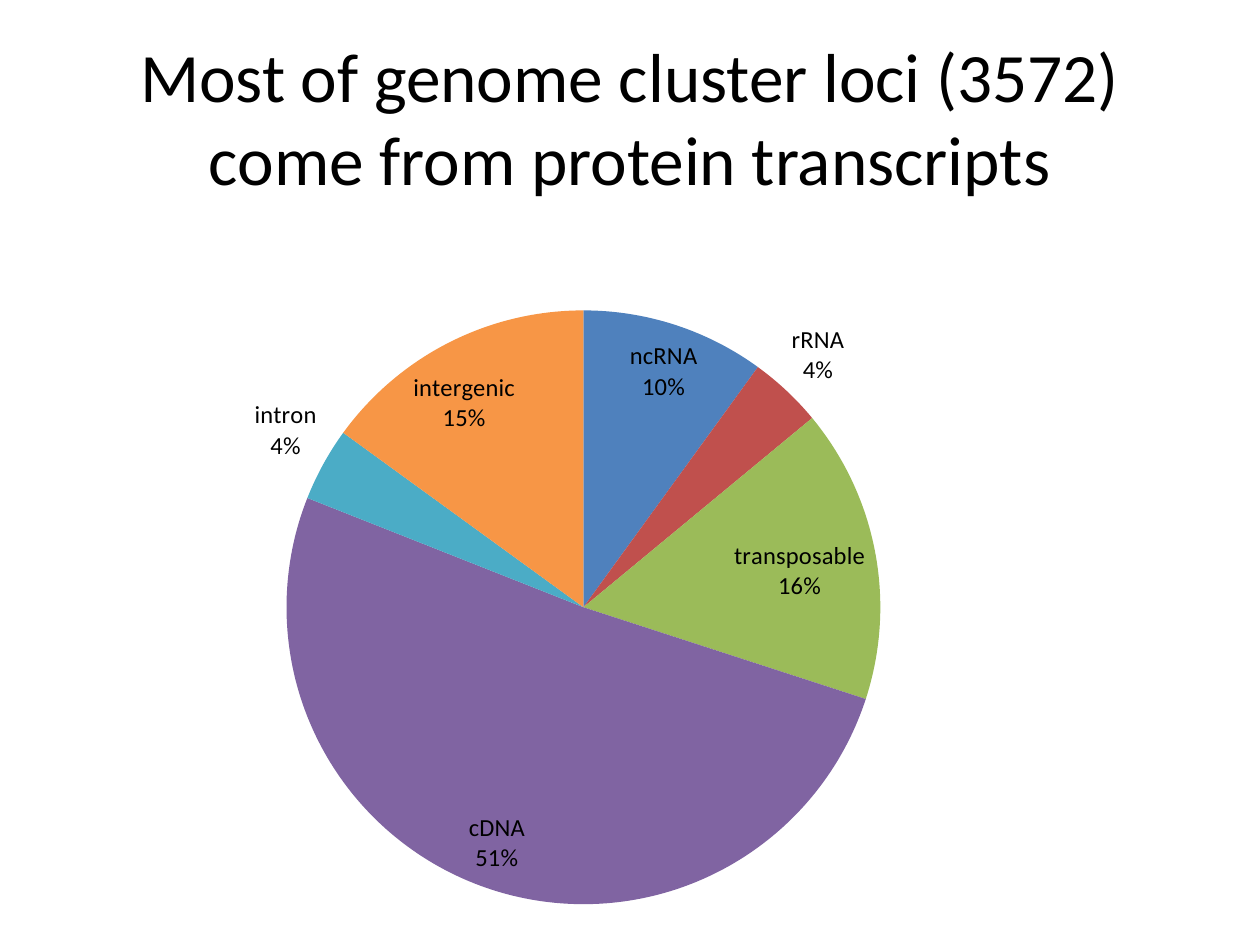
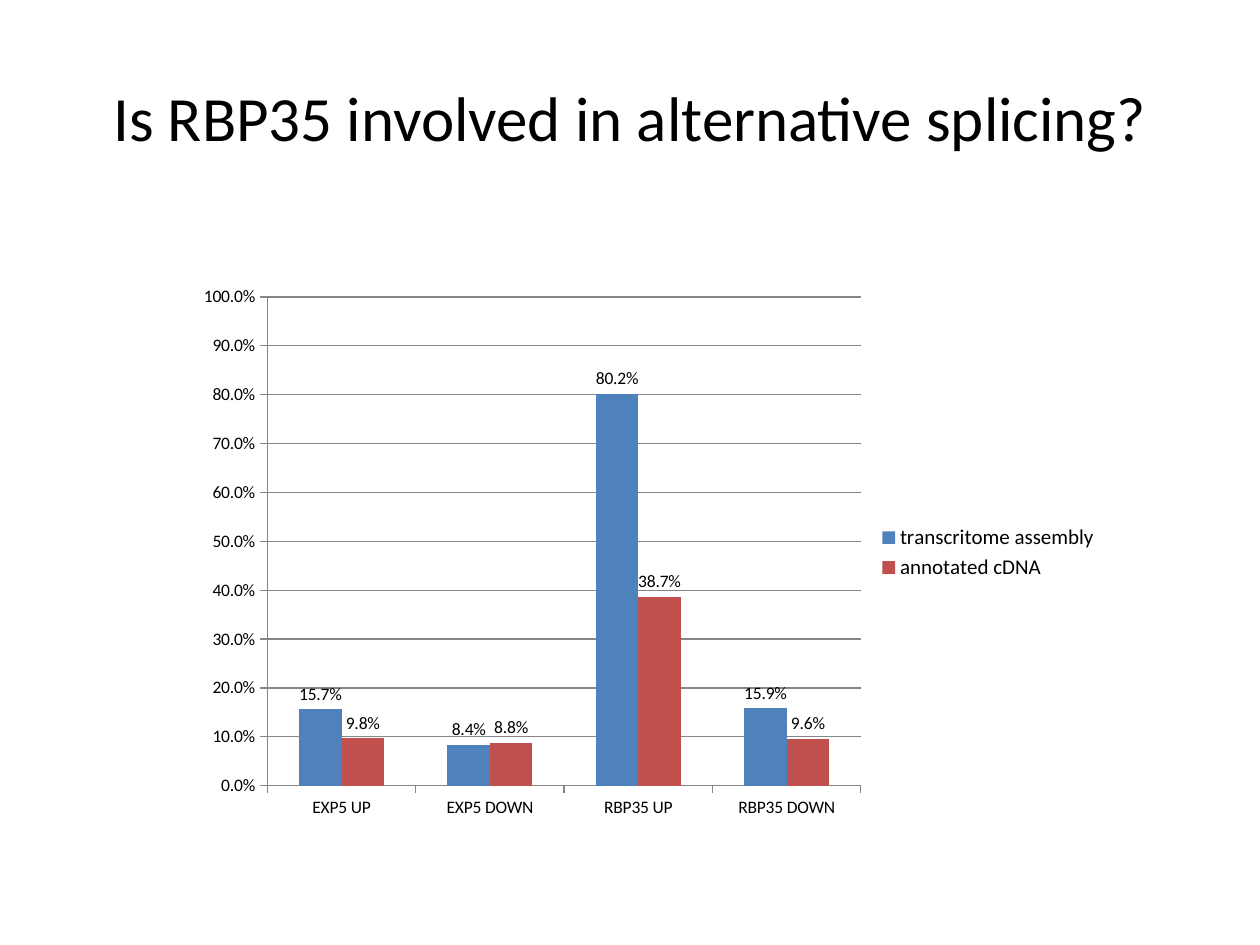
from lxml import etree
from pptx import Presentation
from pptx.chart.data import CategoryChartData
from pptx.dml.color import RGBColor
from pptx.enum.chart import XL_CHART_TYPE, XL_LABEL_POSITION, XL_LEGEND_POSITION, XL_TICK_MARK
from pptx.enum.text import MSO_ANCHOR, PP_ALIGN
from pptx.oxml.ns import qn
from pptx.util import Pt

PIE, COLUMNS = XL_CHART_TYPE.PIE, XL_CHART_TYPE.COLUMN_CLUSTERED
BEST_FIT, OUTSIDE_END = XL_LABEL_POSITION.BEST_FIT, XL_LABEL_POSITION.OUTSIDE_END
LEGEND_RIGHT = XL_LEGEND_POSITION.RIGHT
TICK_OUT, TICK_NONE = XL_TICK_MARK.OUTSIDE, XL_TICK_MARK.NONE
MIDDLE, CENTER = MSO_ANCHOR.MIDDLE, PP_ALIGN.CENTER

FONT = "Calibri"
COLORS = {
    "text": "000000", "axis": "868686",
    "blue": "4F81BD", "red": "C0504D", "green": "9BBB59",
    "purple": "8064A2", "teal": "4BACC6", "orange": "F79646",
}
TITLE_AREA = (36, 21.6, 648, 90)

LOCI = {
    "title": "Most of genome cluster loci (3572) come from protein transcripts",
    "title_size": 39.6,
    "area": (31, 134, 657.4, 394.6),
    "plot": (0.2, 0.11, 0.52, 0.86),
    "shares": [
        ("ncRNA", 10, "blue"), ("rRNA", 4, "red"), ("transposable", 16, "green"),
        ("cDNA", 51, "purple"), ("intron", 4, "teal"), ("intergenic", 15, "orange"),
    ],
}
SPLICING = {
    "title": "Is RBP35 involved in alternative splicing?",
    "title_size": 36,
    "area": (105.1, 157, 529.9, 317.5),
    "plot": (0.09, 0.04, 0.64, 0.88),
    "categories": ["EXP5 UP", "EXP5 DOWN", "RBP35 UP", "RBP35 DOWN"],
    "series": [
        ("transcritome assembly", (0.157, 0.084, 0.802, 0.159), "blue"),
        ("annotated cDNA", (0.098, 0.088, 0.387, 0.096), "red"),
    ],
}


def color(name):
    return RGBColor.from_string(COLORS[name])


def style_font(font, size):
    font.name, font.size = FONT, Pt(size)
    font.color.rgb = color("text")


def paint(part, name):
    part.format.fill.solid()
    part.format.fill.fore_color.rgb = color(name)


def add_text(page, text, *, area, size, align=CENTER, anchor=MIDDLE):
    box = page.shapes.add_textbox(*map(Pt, area))
    frame = box.text_frame
    frame.word_wrap, frame.vertical_anchor = True, anchor
    para = frame.paragraphs[0]
    para.alignment = align
    span = para.add_run()
    span.text = text
    style_font(span.font, size)


def place_plot(chart, fractions):
    plot_area = next(chart.element.iter(qn("c:plotArea")))
    for old in plot_area.findall(qn("c:layout")):
        plot_area.remove(old)
    layout = etree.Element(qn("c:layout"))
    manual = etree.SubElement(layout, qn("c:manualLayout"))
    settings = [("layoutTarget", "inner"), ("xMode", "edge"), ("yMode", "edge")]
    settings += zip("xywh", fractions)
    for tag, value in settings:
        etree.SubElement(manual, qn(f"c:{tag}")).set("val", str(value))
    plot_area.insert(0, layout)


def add_chart(page, content, kind, categories, series):
    data = CategoryChartData()
    data.categories = categories
    for name, values in series:
        data.add_series(name, values)
    chart = page.shapes.add_chart(kind, *map(Pt, content["area"]), data).chart
    chart.has_title = chart.has_legend = False
    style_font(chart.font, 10)
    place_plot(chart, content["plot"])
    return chart


def label_plot(plot, size, number_format, position):
    plot.has_data_labels = True
    labels = plot.data_labels
    style_font(labels.font, size)
    labels.number_format, labels.number_format_is_linked = number_format, False
    labels.position = position
    return labels


def draw_loci(page, content):
    names, values, fills = zip(*content["shares"])
    chart = add_chart(page, content, PIE, names, [("Series 1", values)])
    plot = chart.plots[0]
    plot.vary_by_categories = True
    for index, fill in enumerate(fills):
        paint(plot.series[0].points[index], fill)
    labels = label_plot(plot, 14, "0%", BEST_FIT)
    labels.show_category_name = labels.show_percentage = True
    labels.show_value = False
    separator = etree.Element(qn("c:separator"))
    separator.text = "\n"
    next(chart.element.iter(qn("c:showBubbleSize"))).addnext(separator)


def draw_splicing(page, content):
    series = [(name, values) for name, values, _ in content["series"]]
    chart = add_chart(page, content, COLUMNS, content["categories"], series)
    plot = chart.plots[0]
    plot.vary_by_categories, plot.gap_width, plot.overlap = False, 150, 0
    for bars, (_, _, fill) in zip(plot.series, content["series"]):
        paint(bars, fill)
    label_plot(plot, 10, "0.0%", OUTSIDE_END).show_value = True

    scale = chart.value_axis
    scale.minimum_scale, scale.maximum_scale, scale.major_unit = 0, 1, 0.1
    scale.has_major_gridlines = True
    scale.tick_labels.number_format = "0.0%"
    scale.tick_labels.number_format_is_linked = False
    for axis in (chart.category_axis, scale):
        axis.major_tick_mark, axis.minor_tick_mark = TICK_OUT, TICK_NONE
        style_font(axis.tick_labels.font, 10)
    for part in (chart.category_axis, scale, scale.major_gridlines):
        part.format.line.color.rgb = color("axis")
        part.format.line.width = Pt(0.75)

    chart.has_legend = True
    chart.legend.position, chart.legend.include_in_layout = LEGEND_RIGHT, False
    style_font(chart.legend.font, 12)


def main():
    deck = Presentation()
    deck.slide_width, deck.slide_height = Pt(720), Pt(540)
    for content, draw in ((LOCI, draw_loci), (SPLICING, draw_splicing)):
        page = deck.slides.add_slide(deck.slide_layouts[6])
        add_text(page, content["title"], area=TITLE_AREA, size=content["title_size"])
        draw(page, content)
    deck.save("out.pptx")


if __name__ == "__main__":
    main()
